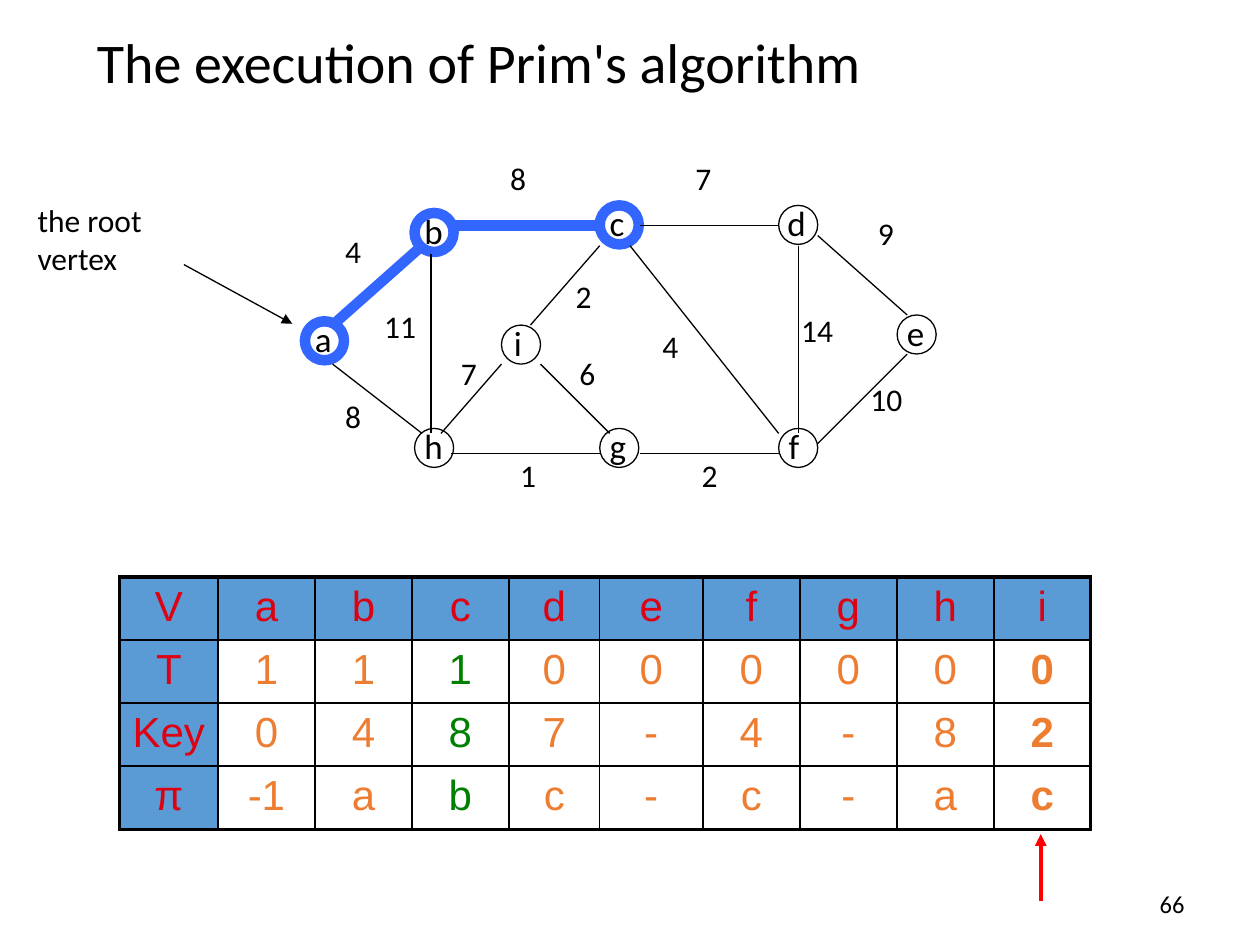
from dataclasses import dataclass
from typing import NamedTuple

import pptx
import pptx.dml.color
import pptx.enum.shapes
import pptx.enum.text
import pptx.oxml
import pptx.oxml.ns
import pptx.util

UNIT = 9144  # one px is a hundredth of an inch
Align = pptx.enum.text.PP_ALIGN
Fit = pptx.enum.text.MSO_AUTO_SIZE


@dataclass(frozen=True)
class Theme:
    ink: str = "000000"
    tree: str = "3366FF"
    mark: str = "FF0000"
    head: str = "DD0111"
    band: str = "5B9BD5"
    body: str = "ED7D31"
    done: str = "008000"
    font: str = "Calibri"
    grid: str = "Arial"
    title: int = 32
    cell: int = 24
    node: int = 20
    label: int = 18
    page: int = 14
    thin: float = 0.75
    rule: float = 1
    bold: float = 2.25
    thick: float = 6


T = Theme()


class Node(NamedTuple):
    name: str
    x: int
    y: int
    tree: bool = False
    dx: int = -2
    wide: int = 36


class Edge(NamedTuple):
    x1: int
    y1: int
    x2: int
    y2: int
    tree: bool = False


class Label(NamedTuple):
    text: str
    x: int
    y: int


NODES = [
    Node("a", 242, 255, True), Node("b", 329, 169, True),
    Node("h", 329, 340), Node("c", 476, 163, True, wide=34),
    Node("d", 618, 163, dx=-3), Node("e", 712, 250),
    Node("f", 618, 340, wide=28), Node("g", 476, 340),
    Node("i", 398, 258, dx=0, wide=28),
]
EDGES = [
    Edge(264, 258, 335, 195, True), Edge(264, 289, 335, 344),
    Edge(342, 202, 342, 344), Edge(358, 179, 476, 179, True),
    Edge(358, 360, 476, 360), Edge(508, 360, 618, 360),
    Edge(500, 195, 618, 344), Edge(508, 179, 618, 179),
    Edge(634, 195, 634, 344), Edge(649, 187, 720, 250),
    Edge(649, 352, 720, 281), Edge(429, 289, 484, 344),
    Edge(350, 344, 398, 289), Edge(421, 258, 476, 195),
]
LABELS = [
    Label("4", 264, 179), Label("8", 395, 121), Label("7", 542, 121),
    Label("9", 687, 165), Label("10", 681, 297), Label("14", 626, 242),
    Label("4", 516, 255), Label("2", 447, 215), Label("2", 547, 357),
    Label("6", 450, 276), Label("1", 403, 357), Label("7", 356, 276),
    Label("11", 295, 239), Label("8", 264, 310),
]
ROWS = [
    "V a b c d e f g h i".split(),
    "T 1 1 1 0 0 0 0 0 0".split(),
    "Key 0 4 8 7 - 4 - 8 2".split(),
    "π -1 a b c - c - a c".split(),
]
WIDTHS = [78, 77, 77, 77, 72, 82, 77, 77, 77, 77]
HIGH = 50
DONE = 3  # column of the vertex just added


def px(*sizes: int) -> list:
    return [pptx.util.Emu(size * UNIT) for size in sizes]


def rgb(code: str) -> pptx.dml.color.RGBColor:
    return pptx.dml.color.RGBColor.from_string(code)


def style(para, size: int, color: str = T.ink, font: str = T.font) -> None:
    para.font.name = font
    para.font.size = pptx.util.Pt(size)
    para.font.color.rgb = rgb(color)


def write(slide, text: str, box: tuple, size: int, wrap: bool = True,
          align=Align.LEFT):
    frame = slide.shapes.add_textbox(*px(*box)).text_frame
    frame.word_wrap = wrap
    frame.auto_size = Fit.SHAPE_TO_FIT_TEXT
    para = frame.paragraphs[0]
    para.text = text
    para.alignment = align
    style(para, size)
    return frame


def link(slide, edge: Edge, color: str, width: float, arrow: bool = False) -> None:
    kind = pptx.enum.shapes.MSO_CONNECTOR.STRAIGHT
    line = slide.shapes.add_connector(kind, *px(*edge[:4]))
    line.line.color.rgb = rgb(color)
    line.line.width = pptx.util.Pt(width)
    props = line._element.spPr
    if arrow:
        tip = props.find(pptx.oxml.ns.qn("a:ln"))
        tip.append(pptx.oxml.parse_xml(
            f'<a:tailEnd {pptx.oxml.ns.nsdecls("a")} type="triangle"/>'))
    props.append(pptx.oxml.parse_xml(
        f'<a:effectLst {pptx.oxml.ns.nsdecls("a")}/>'))


def pen(tree: bool) -> tuple[str, float]:
    return (T.tree, T.thick) if tree else (T.ink, T.thin)


def circle(slide, node: Node) -> None:
    box = (node.x + node.dx, node.y - 8, node.wide, 43)
    write(slide, node.name, box, T.node, wrap=False)
    oval = pptx.enum.shapes.MSO_SHAPE.OVAL
    ring = slide.shapes.add_shape(oval, *px(node.x, node.y, 31, 31))
    ring.shadow.inherit = False
    ring.fill.background()
    color, width = pen(node.tree)
    ring.line.color.rgb = rgb(color)
    ring.line.width = pptx.util.Pt(width)


def border(cell, outer: dict[str, bool]) -> None:
    """Draw the four sides, heavier where a side is on the table's rim."""
    props = cell._tc.get_or_add_tcPr()
    for spot, (side, rim) in enumerate(outer.items()):
        width = pptx.util.Pt(T.bold if rim else T.rule)
        props.insert(spot, pptx.oxml.parse_xml(
            f'<a:ln{side} {pptx.oxml.ns.nsdecls("a")} w="{width}"><a:solidFill>'
            f'<a:srgbClr val="{T.ink}"/></a:solidFill></a:ln{side}>'))


def table(slide, left: int, top: int) -> None:
    rows, cols = len(ROWS), len(WIDTHS)
    place = px(left, top, sum(WIDTHS), rows * HIGH)
    grid = slide.shapes.add_table(rows, cols, *place).table
    grid.first_row = grid.horz_banding = False
    for col, width in zip(grid.columns, WIDTHS):
        col.width = px(width)[0]
    for r, texts in enumerate(ROWS):
        grid.rows[r].height = px(HIGH)[0]
        for c, text in enumerate(texts):
            cell = grid.cell(r, c)
            head = r == 0 or c == 0
            if head:
                cell.fill.solid()
                cell.fill.fore_color.rgb = rgb(T.band)
            else:
                cell.fill.background()
            border(cell, {"L": c == 0, "R": c == cols - 1,
                          "T": r == 0, "B": r == rows - 1})
            para = cell.text_frame.paragraphs[0]
            para.text = text
            para.alignment = Align.CENTER
            color = T.head if head else T.done if c == DONE else T.body
            style(para, T.cell, color, T.grid)
            para.font.bold = not head and c == cols - 1


def main() -> None:
    deck = pptx.Presentation()
    deck.slide_width, deck.slide_height = px(1000, 750)
    slide = deck.slides.add_slide(deck.slide_layouts[6])
    page = write(slide, "66", (717, 700, 233, 35), T.page, align=Align.RIGHT)
    page.vertical_anchor = pptx.enum.text.MSO_ANCHOR.MIDDLE
    write(slide, "The execution of Prim's algorithm", (67, 17, 858, 63), T.title)
    write(slide, "the root vertex", (20, 155, 134, 90), T.label)
    link(slide, Edge(146, 210, 232, 257), T.ink, T.thin, arrow=True)
    table(slide, 95, 458)
    for node in NODES:
        circle(slide, node)
    for edge in EDGES:
        link(slide, edge, *pen(edge.tree))
    for text, x, y in LABELS:
        write(slide, text, (x, y, 20 + 14 * len(text), 40), T.label, wrap=False)
    link(slide, Edge(826, 715, 826, 662), T.mark, T.bold, arrow=True)
    deck.save("out.pptx")


if __name__ == "__main__":
    main()
